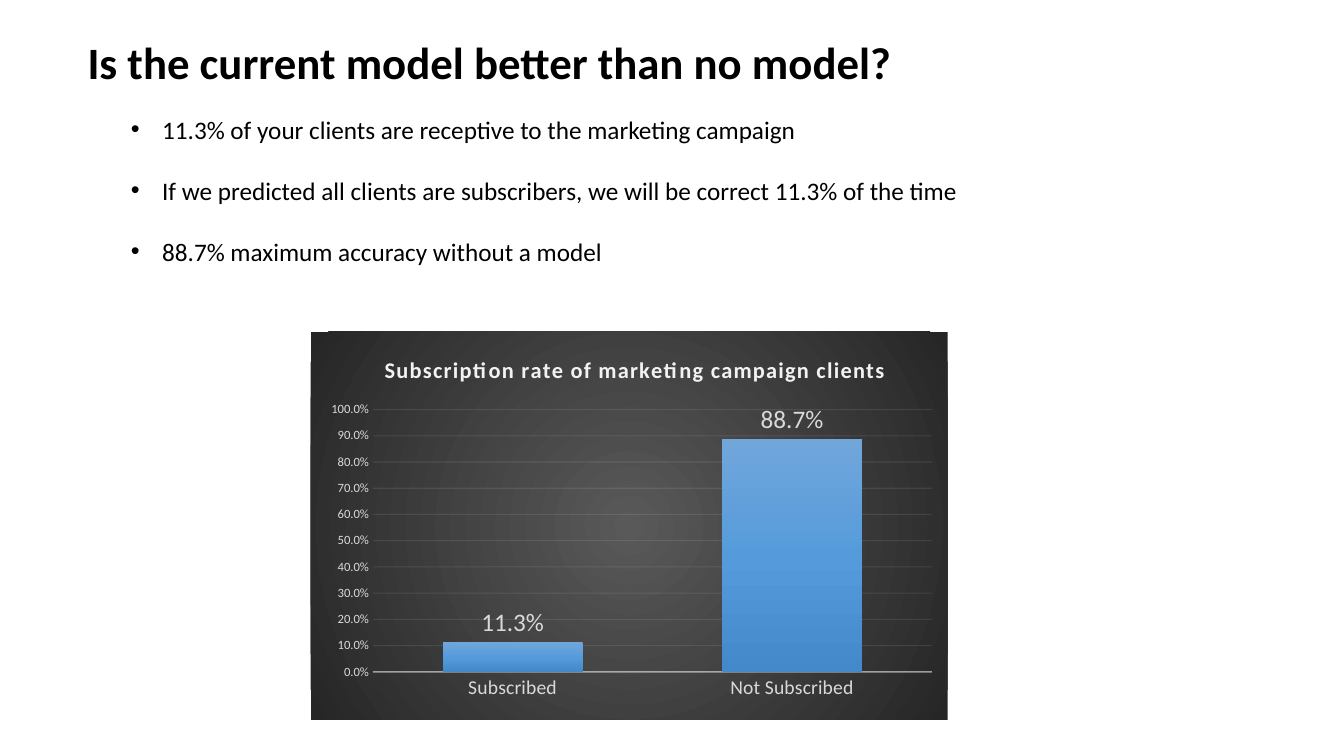
from dataclasses import dataclass

from lxml import etree
from pptx import Presentation
from pptx import util as u
from pptx.chart import data as chart_data
from pptx.dml.color import RGBColor
from pptx.enum import chart as ch
from pptx.oxml import parse_xml
from pptx.oxml.ns import nsdecls, qn


@dataclass(frozen=True)
class Theme:
    """Colours, font and type sizes of the slide."""
    font: str = "Calibri"
    ink: str = "000000"
    label: str = "D9D9D9"
    light: str = "F2F2F2"
    panel: tuple = ((0, "595959"), (100, "262626"))
    bar: tuple = ((0, "71A6DB"), (50, "559BDB"), (100, "448ACA"))
    heading: int = 32
    body: int = 18
    chart_title: int = 16
    category: int = 14
    scale: int = 9


THEME = Theme()


def style_font(font, size, color, bold=False):
    """Apply the theme font with a size and colour."""
    font.name, font.size, font.bold = THEME.font, u.Pt(size), bold
    font.color.rgb = RGBColor.from_string(color)


def add_text(page, area, lines, size, bold=False, gap=0):
    """Add a wrapped text box with one paragraph per line."""
    box = page.shapes.add_textbox(*map(u.Inches, area))
    box.text_frame.word_wrap = True
    box.text_frame.text = "\n".join(lines)
    for para in box.text_frame.paragraphs:
        para.space_after = u.Pt(gap)
        for span in para.runs:
            style_font(span.font, size, THEME.ink, bold)
    return box


def add_bullets(box, indent):
    """Give every paragraph a hanging round bullet."""
    for para in box.text_frame.paragraphs:
        properties = para._p.get_or_add_pPr()
        properties.set("marL", str(u.Inches(indent)))
        properties.set("indent", str(-u.Inches(indent)))
        etree.SubElement(properties, qn("a:buFont"), typeface="Arial")
        etree.SubElement(properties, qn("a:buChar"), char="•")


def gradient(stops, direction):
    """Return a gradient fill element."""
    marks = "".join(f'<a:gs pos="{at * 1000}"><a:srgbClr val="{color}"/></a:gs>'
                    for at, color in stops)
    return parse_xml(f'<a:gradFill {nsdecls("a")}><a:gsLst>{marks}</a:gsLst>'
                     f'{direction}</a:gradFill>')


def manual_layout(x, y, size=None):
    """Return a chart layout in fractions of the chart area."""
    values = {"xMode": "edge", "yMode": "edge", "x": x, "y": y}
    if size:
        values = {"layoutTarget": "inner", **values, "w": size[0], "h": size[1]}
    parts = "".join(f'<c:{name} val="{value}"/>' for name, value in values.items())
    return parse_xml(f'<c:layout {nsdecls("c")}><c:manualLayout>{parts}'
                     '</c:manualLayout></c:layout>')


def style_line(line, width, opacity):
    """Draw a light, partly transparent line."""
    line.width = u.Pt(width)
    line.color.rgb = RGBColor.from_string(THEME.light)
    color = line._ln.find(".//" + qn("a:srgbClr"))
    etree.SubElement(color, qn("a:alpha"), val=str(opacity * 1000))


def style_title(chart, title):
    """Write the spaced, bold chart title."""
    chart.chart_title.text_frame.text = title
    span = chart.chart_title.text_frame.paragraphs[0].runs[0]
    style_font(span.font, THEME.chart_title, THEME.light, True)
    span._r.get_or_add_rPr().set("spc", "100")
    element = chart.chart_title._element
    for layout in element.findall(qn("c:layout")):
        element.remove(layout)
    element.find(qn("c:tx")).addnext(manual_layout(0.11, 0.05))
    chart.chart_title.include_in_layout = False


def style_axes(chart):
    """Format both axes and the gridlines."""
    categories, scale = chart.category_axis, chart.value_axis
    for axis, size in ((categories, THEME.category), (scale, THEME.scale)):
        axis.major_tick_mark = axis.minor_tick_mark = ch.XL_TICK_MARK.NONE
        style_font(axis.tick_labels.font, size, THEME.label)
    style_line(categories.format.line, 1, 54)
    scale.format.line.fill.background()
    scale.minimum_scale, scale.maximum_scale, scale.major_unit = 0, 1, 0.1
    scale.tick_labels.number_format = "0.0%"
    scale.tick_labels.number_format_is_linked = False
    scale.has_major_gridlines = True
    style_line(scale.major_gridlines.format.line, 0.75, 10)


def style_bars(plot):
    """Set bar spacing, fill and value labels."""
    plot.gap_width, plot.overlap, plot.vary_by_categories = 100, -24, False
    bars = plot.series[0]
    bars.invert_if_negative = False
    bars._element.get_or_add_spPr().append(
        gradient(THEME.bar, '<a:lin ang="5400000" scaled="0"/>'))
    labels = bars.data_labels
    labels.show_value = True
    labels.position = ch.XL_LABEL_POSITION.OUTSIDE_END
    labels.number_format, labels.number_format_is_linked = "0.0%", False
    style_font(labels.font, THEME.body, THEME.label)


def style_panel(chart):
    """Fill the chart area and place the plot."""
    panel = parse_xml(f'<c:spPr {nsdecls("c", "a")}><a:ln><a:noFill/></a:ln></c:spPr>')
    panel.insert(0, gradient(THEME.panel, '<a:path path="circle"><a:fillToRect l="50000" '
                             't="50000" r="50000" b="50000"/></a:path>'))
    space = chart._chartSpace
    space.find(qn("c:chart")).addnext(panel)
    plot_area = space.find(".//" + qn("c:plotArea"))
    for layout in plot_area.findall(qn("c:layout")):
        plot_area.remove(layout)
    plot_area.insert(0, manual_layout(0.098, 0.201, (0.877, 0.676)))


def add_rate_chart(page, area, title, rates):
    """Add the column chart of subscription rates."""
    data = chart_data.CategoryChartData(number_format="0.0%")
    data.categories = list(rates)
    data.add_series("Series 1", list(rates.values()))
    chart = page.shapes.add_chart(ch.XL_CHART_TYPE.COLUMN_CLUSTERED,
                                  *map(u.Inches, area), data).chart
    style_font(chart.font, 10, THEME.ink)
    chart.has_legend = False
    style_title(chart, title)
    style_axes(chart)
    style_bars(chart.plots[0])
    style_panel(chart)


def main():
    """Build and save the slide."""
    deck = Presentation()
    deck.slide_width, deck.slide_height = u.Inches(13.33), u.Inches(7.5)
    page = deck.slides.add_slide(deck.slide_layouts[6])
    add_text(page, (0.77, 0.3, 9.81, 0.64),
             ["Is the current model better than no model?"], THEME.heading, bold=True)
    findings = add_text(page, (1.2, 1.08, 10.08, 1.92), [
        "11.3% of your clients are receptive to the marketing campaign",
        "If we predicted all clients are subscribers, we will be correct 11.3% of the time",
        "88.7% maximum accuracy without a model",
    ], THEME.body, gap=22)
    add_bullets(findings, 0.31)
    add_rate_chart(page, (3.08, 3.29, 6.32, 3.85),
                   "Subscription rate of marketing campaign clients",
                   {"Subscribed": 0.113, "Not Subscribed": 0.887})
    deck.save("out.pptx")


main()
